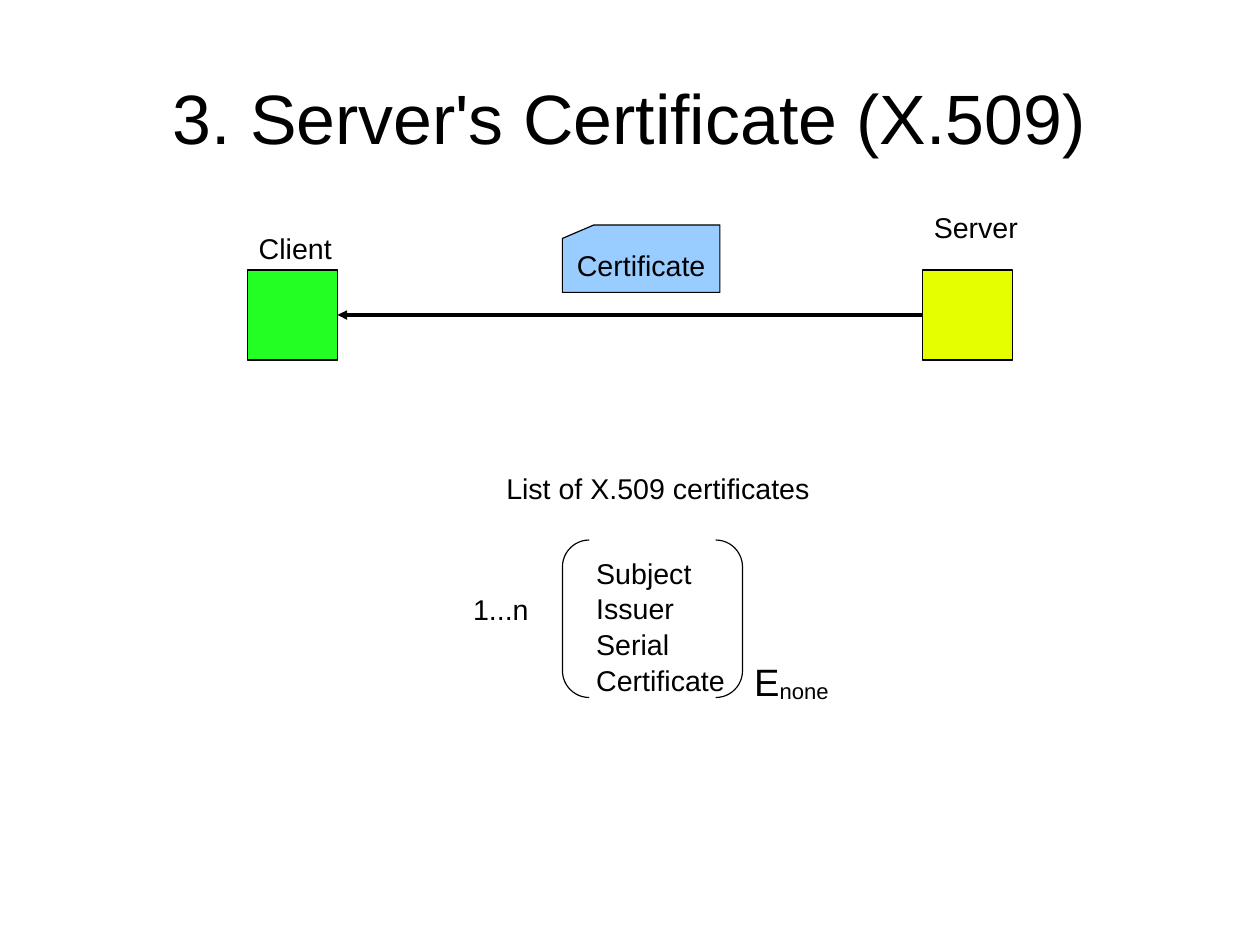
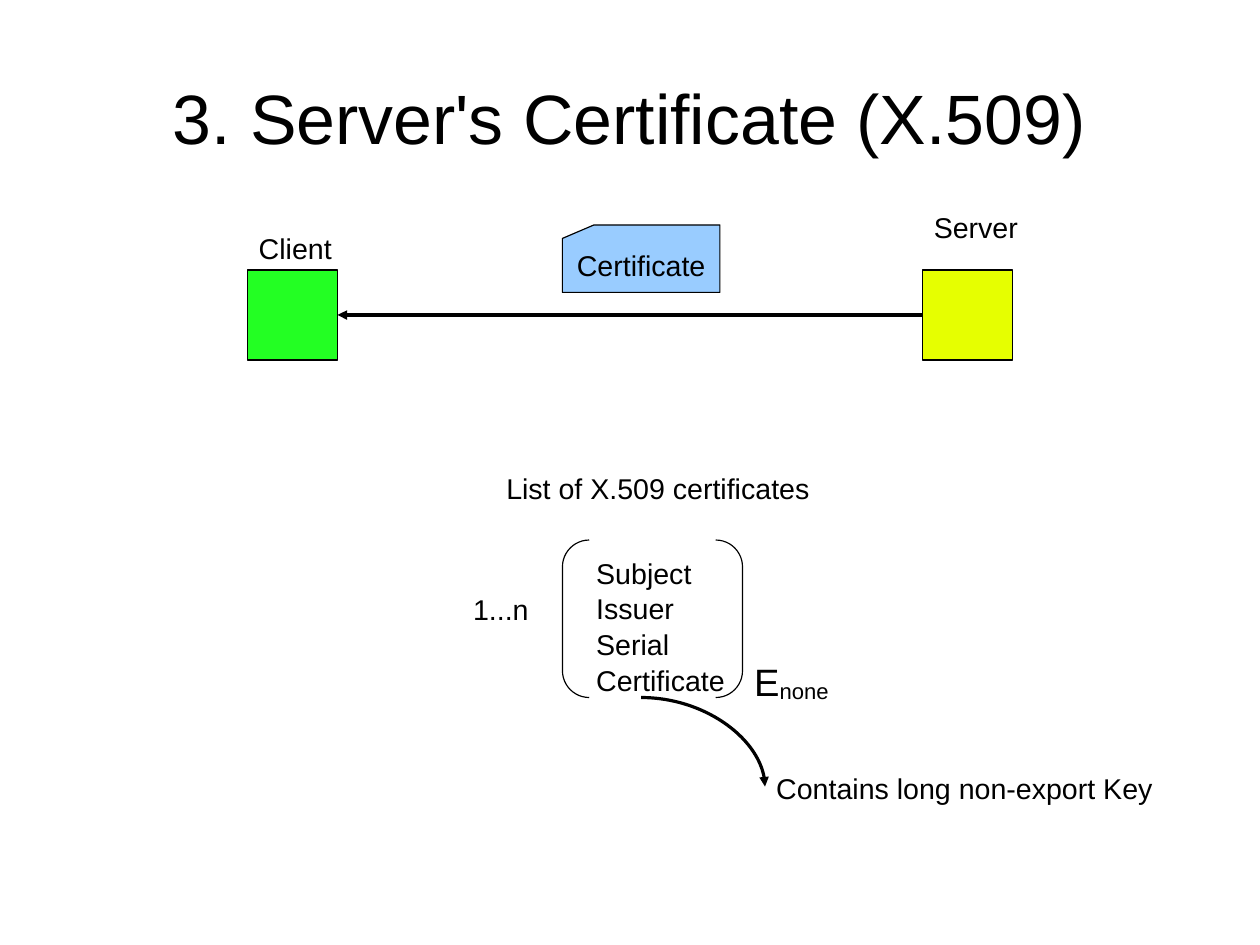
import pptx
import pptx.util
import pptx.dml.color
import pptx.enum.shapes
import pptx.enum.text
import pptx.oxml.ns
import lxml.etree

Pt = pptx.util.Pt
Kind = pptx.enum.shapes.MSO_SHAPE
Link = pptx.enum.shapes.MSO_CONNECTOR
Fit = pptx.enum.text.MSO_AUTO_SIZE
Mid = pptx.enum.text.MSO_ANCHOR.MIDDLE
Mean = pptx.enum.text.PP_ALIGN.CENTER

HUES = {"ink": "000000", "client": "23FF23", "server": "E6FF00", "card": "99CCFF"}
SIDE = 56.7
LEFT, RIGHT, ROW = 155.9, 581.1, 170.1
CARD = (354.3, 141.7, 99.2, 42.5)
PAIR = (354.3, 340.2, 113.4, 99.2)


def tint(name):
    return pptx.dml.color.RGBColor.from_string(HUES[name])


class Deck:
    font = "Arial"

    def __init__(self, wide, high):
        self.file = pptx.Presentation()
        self.file.slide_width = Pt(wide)
        self.file.slide_height = Pt(high)
        self.slide = None

    def style(self, frame, size):
        for para in frame.paragraphs:
            for run in para.runs:
                run.font.name = self.font
                run.font.size = Pt(size)
                run.font.color.rgb = tint("ink")

    def page(self, title):
        self.slide = self.file.slides.add_slide(self.file.slide_layouts[5])
        head = self.slide.shapes.title
        head.left, head.top, head.width, head.height = map(Pt, (39.7, 23.7, 714.2, 99.4))
        frame = head.text_frame
        frame.text = title
        frame.margin_left = frame.margin_right = 0
        frame.margin_top = frame.margin_bottom = 0
        frame.vertical_anchor = Mid
        frame.auto_size = Fit.NONE
        frame.paragraphs[0].alignment = Mean
        self.style(frame, 44)

    def label(self, text, left, top, wide, high=31.7, size=18, wrap=False, space=None):
        box = self.slide.shapes.add_textbox(Pt(left), Pt(top), Pt(wide), Pt(high))
        frame = box.text_frame
        frame.text = text
        frame.word_wrap = wrap
        frame.auto_size = Fit.SHAPE_TO_FIT_TEXT
        for para in frame.paragraphs:
            para.line_spacing = space
        self.style(frame, size)
        return frame

    def index(self, base, sub, left, top, wide, high):
        frame = self.label(base, left, top, wide, high, 24)
        run = frame.paragraphs[0].add_run()
        run.text = sub
        self.style(frame, 24)
        run._r.get_or_add_rPr().set("baseline", "-8000")

    def shape(self, kind, left, top, wide, high, fill=None, text=""):
        item = self.slide.shapes.add_shape(kind, Pt(left), Pt(top), Pt(wide), Pt(high))
        item.shadow.inherit = False
        item.line.color.rgb = tint("ink")
        item.line.width = Pt(0)
        if fill:
            item.fill.solid()
            item.fill.fore_color.rgb = tint(fill)
        else:
            item.fill.background()
        if text:
            frame = item.text_frame
            frame.text = text
            frame.vertical_anchor = Mid
            frame.paragraphs[0].alignment = Mean
            self.style(frame, 18)
        return item

    def arrow(self, kind, *ends):
        line = self.slide.shapes.add_connector(kind, *map(Pt, ends))
        line.line.color.rgb = tint("ink")
        line.line.width = Pt(0)
        tag = pptx.oxml.ns.qn
        props = line._element.spPr
        tip = lxml.etree.SubElement(props.find(tag("a:ln")), tag("a:tailEnd"))
        tip.set("type", "triangle")
        lxml.etree.SubElement(props, tag("a:effectLst"))
        return line

    def curve(self, *ends):
        line = self.arrow(Link.CURVE, *ends)
        geom = line._element.spPr.find(pptx.oxml.ns.qn("a:prstGeom"))
        geom.set("prst", "curvedConnector2")

    def scene(self):
        self.page("3. Server's Certificate (X.509)")
        client = self.shape(Kind.FLOWCHART_PROCESS, LEFT, ROW, SIDE, SIDE, "client")
        server = self.shape(Kind.FLOWCHART_PROCESS, RIGHT, ROW, SIDE, SIDE, "server")
        self.label("Client", LEFT, 141.7, 64.1)
        self.label("Server", RIGHT, 128.9, 70.6, wrap=True)
        self.shape(Kind.FLOWCHART_CARD, *CARD, "card", "Certificate")
        mid = ROW + SIDE / 2
        line = self.arrow(Link.STRAIGHT, RIGHT, mid, LEFT + SIDE, mid)
        line.begin_connect(server, 1)
        line.end_connect(client, 3)
        self.label("Subject\nIssuer\nSerial\nCertificate", 368.5, 345.6, 127.4, 105.1,
                   wrap=True, space=1.04)
        self.label("List of X.509 certificates", 311.8, 293, 226.8, wrap=True)
        pair = self.shape(Kind.DOUBLE_BRACKET, *PAIR)
        pair.adjustments[0] = 0.17
        self.label("1...n", 290.9, 369.4, 49.7)
        self.index("E", "none", 468, 411.1, 62.6, 41.8)


def main():
    deck = Deck(793.7, 595.3)
    deck.scene()
    deck.scene()
    deck.label("Contains long non-export Key", 481.9, 481.9, 268.6)
    deck.curve(CARD[0] + CARD[2] / 2, PAIR[1] + PAIR[3], 481.9, 495.5)
    deck.file.save("out.pptx")


if __name__ == "__main__":
    main()
